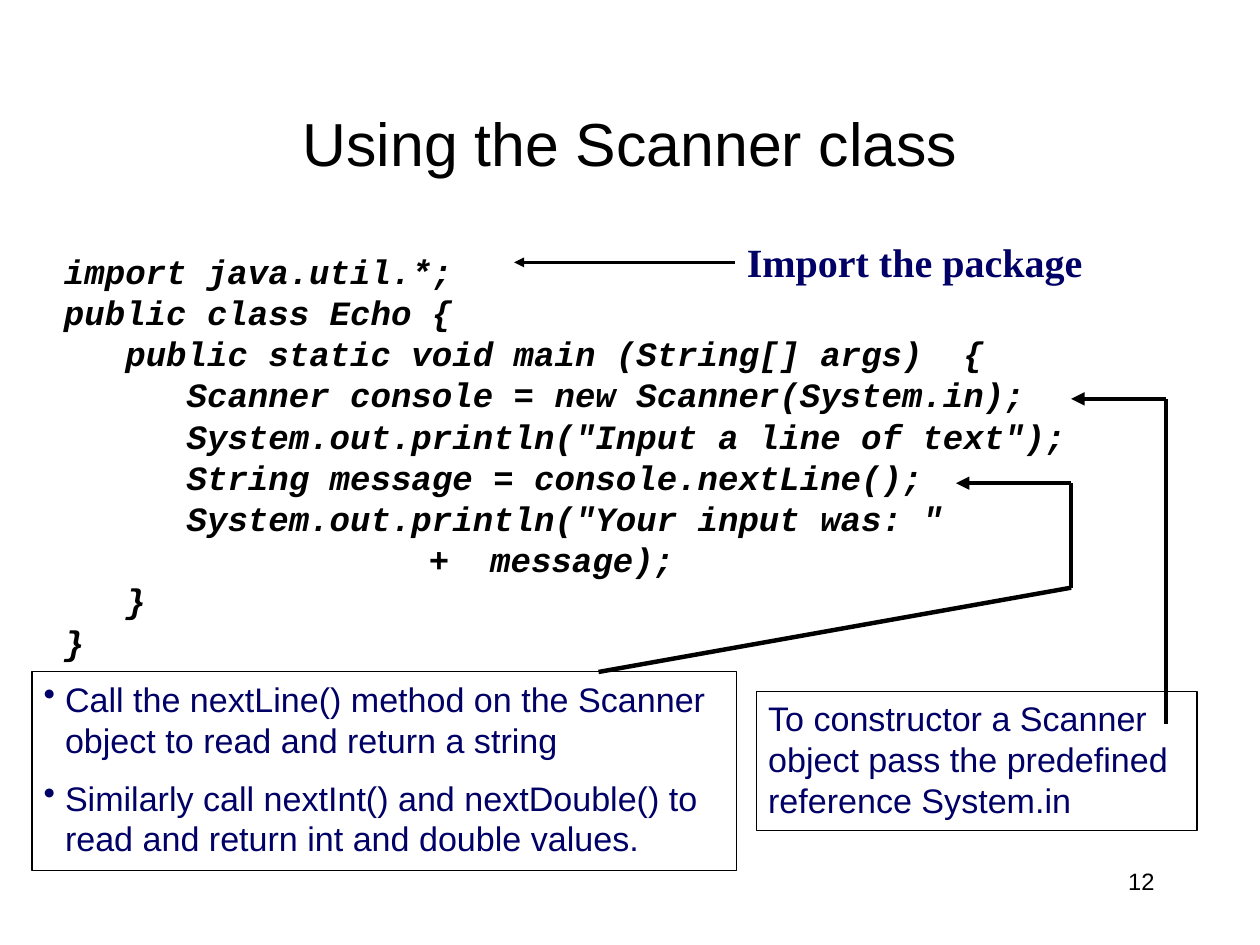
from dataclasses import dataclass
from itertools import pairwise

from lxml.etree import SubElement
from pptx import Presentation
from pptx.dml.color import RGBColor
from pptx.enum.shapes import MSO_CONNECTOR, MSO_SHAPE
from pptx.enum.text import MSO_ANCHOR, PP_ALIGN
from pptx.oxml.ns import qn
from pptx.util import Inches, Pt


@dataclass(frozen=True)
class TextStyle:
    font: str
    size: float
    color: RGBColor
    bold: bool = False
    italic: bool = False
    line_spacing: float = 1.0
    space_before: float = 0  # share of the type size


class Theme:
    black = RGBColor(0, 0, 0)
    navy = RGBColor(0, 0, 0x66)
    white = RGBColor(255, 255, 255)
    title = TextStyle("Arial", 41, black)
    code = TextStyle("Courier New", 23, black, True, True, 0.8, 0.25)
    heading = TextStyle("Times New Roman", 27, navy, True)
    note = TextStyle("Arial", 23, navy, space_before=0.5)
    number = TextStyle("Arial", 16, black)
    border, thin, thick = 0.75, 2.25, 3


class PageBuilder:
    def __init__(self, deck, theme):
        self.theme = theme
        self.page = deck.slides.add_slide(deck.slide_layouts[6])
        self.page.background.fill.solid()
        self.page.background.fill.fore_color.rgb = theme.white

    def fill_text(self, shape, lines, style, align=PP_ALIGN.LEFT,
                  anchor=MSO_ANCHOR.TOP, bullets=False):
        """Each line is a pair of left indent in inches and wording."""
        frame = shape.text_frame
        frame.word_wrap = True
        frame.vertical_anchor = anchor
        frame.margin_left = frame.margin_right = Inches(0.11)
        frame.margin_top = frame.margin_bottom = Inches(0.06)
        for index, (indent, wording) in enumerate(lines):
            para = frame.add_paragraph() if index else frame.paragraphs[0]
            para.alignment = align
            para.line_spacing = style.line_spacing
            para.space_before = Pt(style.space_before * style.size)
            properties = para._p.get_or_add_pPr()
            properties.set("marL", str(Inches(indent)))
            if bullets:
                properties.set("indent", str(-Inches(indent)))
                SubElement(properties, qn("a:buChar"), char="•")
            span = para.add_run()
            span.text = wording
            span.font.name = style.font
            span.font.size = Pt(style.size)
            span.font.bold = style.bold
            span.font.italic = style.italic
            span.font.color.rgb = style.color

    def text(self, place, lines, style, **options):
        box = self.page.shapes.add_textbox(*map(Inches, place))
        self.fill_text(box, lines, style, **options)
        return box

    def framed_note(self, place, lines, **options):
        box = self.page.shapes.add_shape(MSO_SHAPE.RECTANGLE, *map(Inches, place))
        box.shadow.inherit = False
        box.fill.background()
        box.line.color.rgb = self.theme.black
        box.line.width = Pt(self.theme.border)
        self.fill_text(box, lines, self.theme.note, **options)

    def line(self, start, end, width, arrow=False):
        line = self.page.shapes.add_connector(
            MSO_CONNECTOR.STRAIGHT, *map(Inches, (*start, *end)))
        line.line.color.rgb = self.theme.black
        line.line.width = Pt(width)
        if arrow:
            SubElement(line.line._get_or_add_ln(), qn("a:tailEnd"), type="triangle")
        SubElement(line._element.spPr, qn("a:effectLst"))
        return line

    def arrow_route(self, points):
        """Joined straight lines with an arrowhead on the last point."""
        for start, end in pairwise(points):
            self.line(start, end, self.theme.thick, arrow=end == points[-1])


def main():
    deck = Presentation()
    deck.slide_width, deck.slide_height = Inches(11.81), Inches(8.86)
    theme = Theme()
    builder = PageBuilder(deck, theme)

    # Title
    builder.text((0.89, 0.79, 10.04, 1.08), [(0, "Using the Scanner class")],
                 theme.title, align=PP_ALIGN.CENTER, anchor=MSO_ANCHOR.MIDDLE)

    # Program, one code level being three characters wide
    level = 3 * 0.6 * theme.code.size / 72
    program = [
        (0, "import java.util.*;"),
        (0, "public class Echo {"),
        (level, "public static void main (String[] args)  {"),
        (2 * level, "Scanner console = new Scanner(System.in);"),
        (2 * level, 'System.out.println("Input a line of text");'),
        (2 * level, "String message = console.nextLine();"),
        (2 * level, 'System.out.println("Your input was: "'),
        (3.42, "+  message);"),
        (level, "}"),
        (0, "}"),
    ]
    builder.text((0.49, 2.36, 10.93, 5.32), program, theme.code)

    # Import remark and its arrow
    remark = builder.text((6.89, 2.17, 4.43, 0.58), [(0, "Import the package")],
                          theme.heading)
    arrow = builder.line((6.89, 2.46), (4.82, 2.46), theme.thin, arrow=True)
    arrow.begin_connect(remark, 1)

    # Constructor note
    builder.arrow_route([(10.93, 6.79), (10.93, 3.74), (10.04, 3.74)])
    builder.framed_note((7.09, 6.48, 4.13, 1.31), [
        (0, "To constructor a Scanner object pass the predefined "
            "reference System.in")])

    # Reading note
    builder.arrow_route([(5.61, 6.3), (10.04, 5.51), (10.04, 4.53), (8.96, 4.53)])
    builder.framed_note((0.3, 6.3, 6.6, 1.86), [
        (0.2, "Call the nextLine() method on the Scanner object to read "
              "and return a string"),
        (0.2, "Similarly call nextInt() and nextDouble() to read and "
              "return int and double values."),
    ], bullets=True)

    # Page number
    builder.text((8.47, 8.07, 2.46, 0.59), [(0, "12")], theme.number,
                 align=PP_ALIGN.RIGHT)

    deck.save("out.pptx")


if __name__ == "__main__":
    main()
